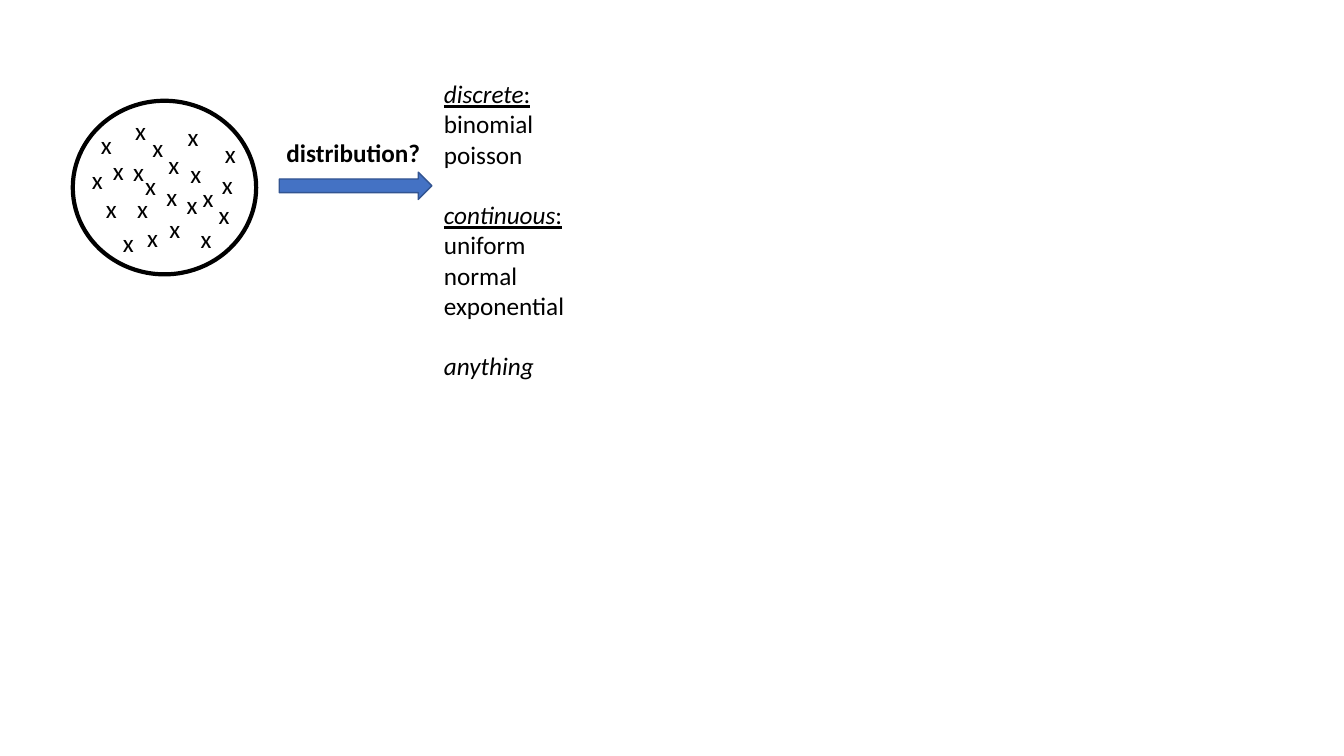
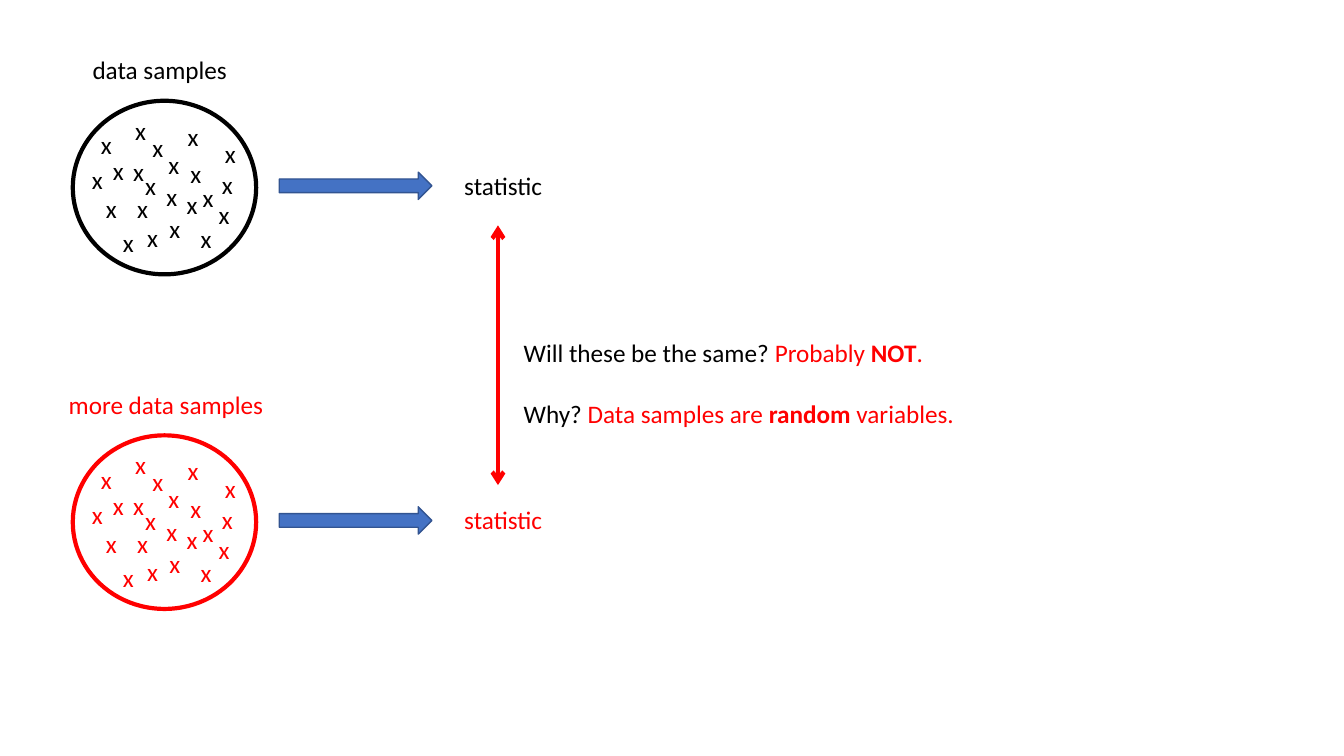
"""Build two slides on data samples, their distribution and their statistics."""
import lxml.etree
import pptx
import pptx.dml.color
import pptx.enum.shapes
import pptx.enum.text
import pptx.oxml.ns
import pptx.util

Pt = pptx.util.Pt
RGBColor = pptx.dml.color.RGBColor
SHAPE = pptx.enum.shapes.MSO_SHAPE
qn = pptx.oxml.ns.qn

BLACK = RGBColor(0x00, 0x00, 0x00)
RED = RGBColor(0xFF, 0x00, 0x00)
BLUE = RGBColor(0x44, 0x72, 0xC4)
DARK_BLUE = RGBColor(0x32, 0x54, 0x91)

FONT = "Calibri"
TEXT_SIZE = 18
LINE_HEIGHT = 21.6
BOX_HEIGHT = 29
SAMPLE_LEFT, FIRST_TOP, SECOND_TOP = 52, 72, 311

MARKS = [
    (37.4, 6.6), (49.7, 18.7), (61.2, 31), (77, 37.8), (85.7, 54.7), (97.2, 67),
    (44.6, 46.4), (46.1, 83), (13, 16.8), (21.6, 35.5), (36, 36), (38.9, 62.6),
    (74.2, 59.8), (61.9, 77), (84.2, 83.7), (6.5, 41.8), (99.4, 45.4), (74.9, 11),
    (101.5, 23.2), (28.8, 87.1), (59.8, 54), (16.6, 62.6),
]

UNDERLINED = {"underline": True}
HEADING = {"italic": True, "underline": True}
ITALIC = {"italic": True}
IN_RED = {"color": RED}
BOLD_RED = {"bold": True, "color": RED}

DISTRIBUTIONS = [
    [[("discrete", HEADING), (":", UNDERLINED)], [("binomial", {})], [("poisson", {})]],
    [[("continuous", HEADING), (":", UNDERLINED)], [("uniform", {})], [("normal", {})],
     [("exponential", {})]],
    [[("anything", ITALIC)]],
]
QUESTIONS = [
    [[("Will these be the same? ", {}), ("Probably", IN_RED), (" NOT", BOLD_RED), (".", IN_RED)]],
    [[("Why? ", {}), ("Data samples are ", IN_RED), ("random ", BOLD_RED),
      ("variables.", IN_RED)]],
]
SAMPLES = [
    ("more data samples", 42, 155, SECOND_TOP, RED),
    ("data samples", 59, 112, FIRST_TOP, BLACK),
]


def add_text(shapes, left, top, width, height, blocks):
    """Add a text box whose blocks of paragraphs are one line apart."""
    box = shapes.add_textbox(Pt(left), Pt(top), Pt(width), Pt(height))
    frame = box.text_frame
    frame.word_wrap = False
    frame.auto_size = pptx.enum.text.MSO_AUTO_SIZE.SHAPE_TO_FIT_TEXT
    for block_index, block in enumerate(blocks):
        for line_index, line in enumerate(block):
            first = block_index == line_index == 0
            para = frame.paragraphs[0] if first else frame.add_paragraph()
            if block_index and line_index == 0:
                para.space_before = Pt(LINE_HEIGHT)
            for text, style in line:
                span = para.add_run()
                span.text = text
                span.font.name = FONT
                span.font.size = Pt(TEXT_SIZE)
                span.font.bold = style.get("bold", False)
                span.font.italic = style.get("italic", False)
                span.font.underline = style.get("underline", False)
                span.font.color.rgb = style.get("color", BLACK)


def add_label(shapes, text, left, top, width, **style):
    """Add a single line of text."""
    add_text(shapes, left, top, width, BOX_HEIGHT, [[[(text, style)]]])


def add_sample(page, top, color):
    """Add a circle of sample marks and the arrow leading out of it."""
    group = page.shapes.add_group_shape()
    for across, down in MARKS:
        add_label(group.shapes, "x", SAMPLE_LEFT + across, top + down, 22.5, color=color)
    circle = group.shapes.add_shape(SHAPE.OVAL, Pt(SAMPLE_LEFT), Pt(top), Pt(131), Pt(124))
    circle.shadow.inherit = False
    circle.fill.background()
    circle.line.color.rgb = color
    circle.line.width = Pt(3)
    arrow = page.shapes.add_shape(SHAPE.RIGHT_ARROW, Pt(199.5), Pt(top + 51), Pt(109), Pt(19.5))
    arrow.shadow.inherit = False
    arrow.fill.solid()
    arrow.fill.fore_color.rgb = BLUE
    arrow.line.color.rgb = DARK_BLUE
    arrow.line.width = Pt(1)


def add_double_arrow(page, x, top, bottom):
    """Add a vertical red line with an arrowhead at each end."""
    connector = page.shapes.add_connector(
        pptx.enum.shapes.MSO_CONNECTOR.STRAIGHT, Pt(x), Pt(top), Pt(x), Pt(bottom))
    connector.line.color.rgb = RED
    connector.line.width = Pt(3)
    properties = connector.element.spPr
    outline = properties.find(qn("a:ln"))
    for end in ("a:headEnd", "a:tailEnd"):
        lxml.etree.SubElement(outline, qn(end), type="arrow")
    lxml.etree.SubElement(properties, qn("a:effectLst"))


def build_distribution_page(page):
    """Ask which distribution a sample comes from."""
    add_sample(page, FIRST_TOP, BLACK)
    add_label(page.shapes, "distribution?", 197.5, 94.5, 111, bold=True)
    add_text(page.shapes, 310, 52.5, 101.5, 225.5, DISTRIBUTIONS)


def build_statistic_page(page):
    """Compare the statistics of two samples."""
    for caption, left, width, top, color in SAMPLES:
        add_sample(page, top, color)
        add_label(page.shapes, caption, left, top - 36.5, width, color=color)
        add_label(page.shapes, "statistic", 324.5, top + 46, 70.5, color=color)
    add_double_arrow(page, 355.7, 161, 346.5)
    add_text(page.shapes, 367, 237.5, 330, 72.5, QUESTIONS)


def main():
    """Create and save the deck."""
    deck = pptx.Presentation()
    deck.slide_width, deck.slide_height = Pt(960), Pt(540)
    blank = deck.slide_layouts[6]
    for build in (build_distribution_page, build_statistic_page):
        build(deck.slides.add_slide(blank))
    deck.save("out.pptx")


if __name__ == "__main__":
    main()
